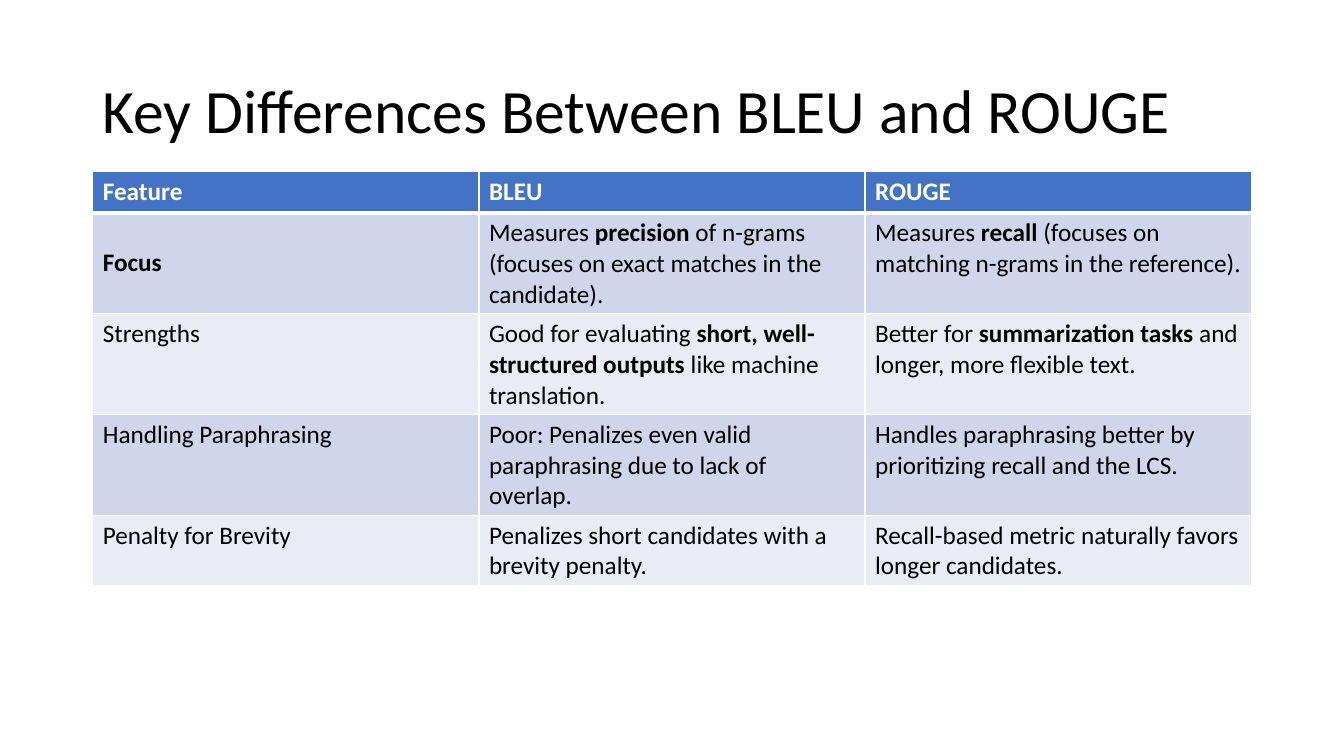
"""Build a slide with a table comparing the BLEU and ROUGE metrics."""
from dataclasses import dataclass

from lxml import etree
from pptx import Presentation
from pptx import util as u
from pptx.dml.color import RGBColor
from pptx.enum import text
from pptx.oxml.ns import qn

WHITE = RGBColor(0xFF, 0xFF, 0xFF)
BLACK = RGBColor(0x00, 0x00, 0x00)
BLUE = RGBColor(0x44, 0x72, 0xC4)
BANDS = (RGBColor(0xE9, 0xEB, 0xF5), RGBColor(0xCF, 0xD5, 0xEA))

FONT = "Calibri"
SLIDE_W, SLIDE_H = u.Inches(13.33), u.Inches(7.5)
MARGIN = u.Inches(0.92)
COL_W, ROW_H = u.Inches(3.83), u.Inches(0.41)
TABLE_TOP, TABLE_H = u.Inches(1.7), u.Inches(4.11)
TITLE_TOP, TITLE_H = u.Inches(0.4), u.Inches(1.45)
THIN, THICK = u.Pt(1), u.Pt(3)


@dataclass(frozen=True)
class Entry:
    """Cell wording: plain lead, bold key phrase, plain tail."""
    lead: str = ""
    key: str = ""
    tail: str = ""


@dataclass(frozen=True)
class Feature:
    """One table row."""
    name: Entry
    bleu: Entry
    rouge: Entry


ROWS = (
    Feature(Entry(key="Feature"), Entry(key="BLEU"), Entry(key="ROUGE")),
    Feature(
        Entry(key="Focus"),
        Entry("Measures ", "precision", " of n-grams (focuses on exact matches in the candidate)."),
        Entry("Measures ", "recall", " (focuses on matching n-grams in the reference)."),
    ),
    Feature(
        Entry("Strengths"),
        Entry("Good for evaluating ", "short, well-structured outputs", " like machine translation."),
        Entry("Better for ", "summarization tasks", " and longer, more flexible text."),
    ),
    Feature(
        Entry("Handling Paraphrasing"),
        Entry("Poor: Penalizes even valid paraphrasing due to lack of overlap."),
        Entry("Handles paraphrasing better by prioritizing recall and the LCS."),
    ),
    Feature(
        Entry("Penalty for Brevity"),
        Entry("Penalizes short candidates with a brevity penalty."),
        Entry("Recall-based metric naturally favors longer candidates."),
    ),
)


def style_run(r, size: float, color: RGBColor, bold: bool = False) -> None:
    """Format one run."""
    r.font.name, r.font.size, r.font.bold = FONT, u.Pt(size), bold
    r.font.color.rgb = color


def set_borders(cell, top: int, bottom: int) -> None:
    """Give a cell white borders."""
    tc_pr = cell._tc.get_or_add_tcPr()
    for side, width in zip("LRTB", (THIN, THIN, top, bottom)):
        ln = etree.SubElement(tc_pr, qn(f"a:ln{side}"), w=str(int(width)))
        fill = etree.SubElement(ln, qn("a:solidFill"))
        etree.SubElement(fill, qn("a:srgbClr"), val=str(WHITE))


def draw_title(s, title: str) -> None:
    """Add the slide title."""
    sp = s.shapes.add_textbox(MARGIN, TITLE_TOP, 3 * COL_W, TITLE_H)
    tf = sp.text_frame
    tf.word_wrap = True
    tf.vertical_anchor = text.MSO_ANCHOR.MIDDLE
    tf.text = title
    p = tf.paragraphs[0]
    p.line_spacing = 0.9
    style_run(p.runs[0], 44, BLACK)


def draw_cell(cell, entry: Entry, row: int) -> None:
    """Fill and format one table cell."""
    header = row == 0
    set_borders(cell, THICK if row == 1 else THIN, THICK if header else THIN)
    cell.fill.solid()
    cell.fill.fore_color.rgb = BLUE if header else BANDS[row % 2]
    if not entry.lead:
        cell.vertical_anchor = text.MSO_ANCHOR.MIDDLE
    p = cell.text_frame.paragraphs[0]
    for part, bold in ((entry.lead, False), (entry.key, True), (entry.tail, False)):
        if part:
            r = p.add_run()
            r.text = part
            style_run(r, 18, WHITE if header else BLACK, bold)


def draw_table(s, rows: tuple[Feature, ...]) -> None:
    """Add the comparison table."""
    frame = s.shapes.add_table(len(rows), 3, MARGIN, TABLE_TOP, 3 * COL_W, TABLE_H)
    table = frame.table
    for i, feature in enumerate(rows):
        table.rows[i].height = ROW_H
        for j, entry in enumerate((feature.name, feature.bleu, feature.rouge)):
            draw_cell(table.cell(i, j), entry, i)
    frame.height = TABLE_H


def main() -> None:
    """Build and save the slide."""
    prs = Presentation()
    prs.slide_width, prs.slide_height = SLIDE_W, SLIDE_H
    s = prs.slides.add_slide(prs.slide_layouts[6])
    draw_title(s, "Key Differences Between BLEU and ROUGE")
    draw_table(s, ROWS)
    prs.save("out.pptx")


if __name__ == "__main__":
    main()
